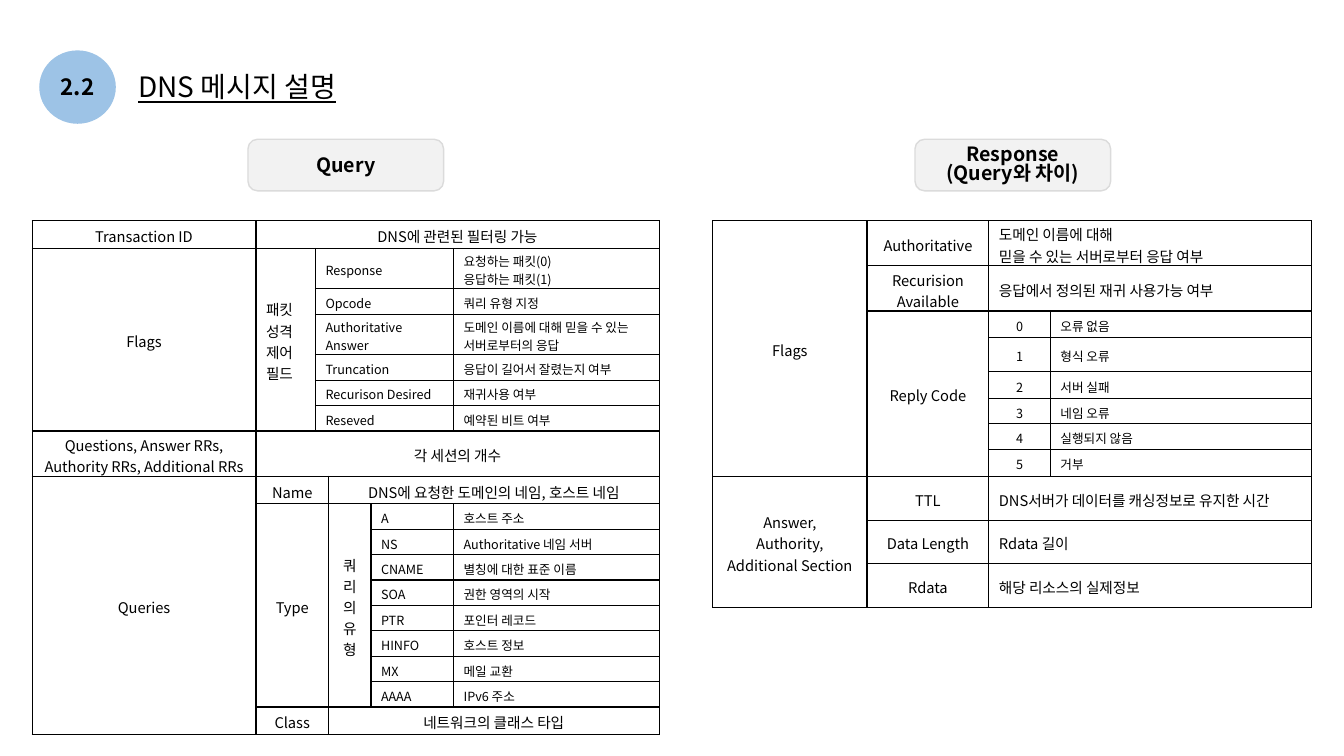
from lxml.etree import SubElement
from pptx import Presentation
from pptx.dml.color import RGBColor
from pptx.enum.shapes import MSO_SHAPE
from pptx.enum.text import MSO_ANCHOR, MSO_AUTO_SIZE, PP_ALIGN
from pptx.oxml.ns import qn
from pptx.util import Cm, Pt

FONT = "Noto Sans CJK KR"
BLACK = RGBColor(0x00, 0x00, 0x00)
BLUE = RGBColor(0x9D, 0xC3, 0xE6)
GREY = RGBColor(0xF2, 0xF2, 0xF2)
GREY_LINE = RGBColor(0xDB, 0xDB, 0xDB)
LEFT, CENTER = PP_ALIGN.LEFT, PP_ALIGN.CENTER
BODY, SMALL = 10.5, 9

QUERY_COLUMNS = [5.64, 1.5, 0.33, 1.07, 2.08, 5.18]
QUERY_ROWS = [0.7, 1.02, 0.64, 1.02] + [0.64] * 3 + [1.14, 0.7] + [0.64] * 8 + [0.7]
RESPONSE_COLUMNS = [3.89, 3.07, 1.55, 6.58]
RESPONSE_ROWS = [1.14, 1.14, 0.66, 0.87, 0.67, 0.64, 0.64, 0.69, 1.1, 1.1, 1.1]

FLAG_FIELDS = [
    ("Response", "요청하는 패킷(0)\n응답하는 패킷(1)"),
    ("Opcode", "쿼리 유형 지정"),
    ("Authoritative Answer", "도메인 이름에 대해 믿을 수 있는 서버로부터의 응답"),
    ("Truncation", "응답이 길어서 잘렸는지 여부"),
    ("Recurison Desired", "재귀사용 여부"),
    ("Reseved", "예약된 비트 여부"),
]
QUERY_TYPES = [
    ("A", "호스트 주소"),
    ("NS", "Authoritative 네임 서버"),
    ("CNAME", "별칭에 대한 표준 이름"),
    ("SOA", "권한 영역의 시작"),
    ("PTR", "포인터 레코드"),
    ("HINFO", "호스트 정보"),
    ("MX", "메일 교환"),
    ("AAAA", "IPv6 주소"),
]
REPLY_CODES = ["오류 없음", "형식 오류", "서버 실패", "네임 오류", "실행되지 않음", "거부"]
RESPONSE_FLAGS = [
    ("Authoritative", "도메인 이름에 대해\n믿을 수 있는 서버로부터 응답 여부"),
    ("Recurision Available", "응답에서 정의된 재귀 사용가능 여부"),
]
ANSWER_FIELDS = [
    ("TTL", "DNS서버가 데이터를 캐싱정보로 유지한 시간"),
    ("Data Length", "Rdata 길이"),
    ("Rdata", "해당 리소스의 실제정보"),
]


def write_text(frame, text, size, align=LEFT, bold=False, underline=False, spacing=None):
    """Fill a text frame, one paragraph per line of text."""
    frame.text = text
    for para in frame.paragraphs:
        para.alignment = align
        para.line_spacing = spacing
        para.font.name = FONT
        para.font.size = Pt(size)
        para.font.bold = bold
        para.font.underline = underline
        para.font.color.rgb = BLACK
        defaults = para._p.pPr.find(qn("a:defRPr"))
        SubElement(defaults, qn("a:ea"), typeface=FONT)


def add_title(page, text):
    """Add the underlined slide title."""
    box = page.shapes.add_textbox(Cm(3.23), Cm(1.63), Cm(6.02), Cm(1.12))
    box.text_frame.word_wrap = False
    box.text_frame.auto_size = MSO_AUTO_SIZE.SHAPE_TO_FIT_TEXT
    write_text(box.text_frame, text, 20, underline=True)


def add_label(page, kind, place, text, size, fill, line=None, spacing=None):
    """Add a filled shape with bold centred text."""
    shape = page.shapes.add_shape(kind, *[Cm(length) for length in place])
    shape.shadow.inherit = False
    shape.fill.solid()
    shape.fill.fore_color.rgb = fill
    if line is None:
        shape.line.fill.background()
    else:
        shape.line.color.rgb = line
        shape.line.width = Pt(1)
        shape.adjustments[0] = 0.185
    shape.text_frame.vertical_anchor = MSO_ANCHOR.MIDDLE
    write_text(shape.text_frame, text, size, CENTER, bold=True, spacing=spacing)


def add_borders(cell):
    """Draw a thin black line on all four sides of a cell."""
    properties = cell._tc.get_or_add_tcPr()
    for side in ("a:lnL", "a:lnR", "a:lnT", "a:lnB"):
        line = SubElement(properties, qn(side), w=str(Pt(1)))
        fill = SubElement(line, qn("a:solidFill"))
        SubElement(fill, qn("a:srgbClr"), val=str(BLACK))


def add_grid(page, left, columns, rows):
    """Add an empty bordered table and return it."""
    frame = page.shapes.add_table(len(rows), len(columns), Cm(left), Cm(5.56),
                                  Cm(sum(columns)), Cm(sum(rows)))
    table = frame.table
    table.first_row = table.horz_banding = False
    for column, width in zip(table.columns, columns):
        column.width = Cm(width)
    for row, height in zip(table.rows, rows):
        row.height = Cm(height)
    for cell in table.iter_cells():
        add_borders(cell)
        cell.fill.background()
        cell.margin_top, cell.margin_bottom = Cm(0.08), Cm(0)
        cell.vertical_anchor = MSO_ANCHOR.MIDDLE
    return table


def put(table, row, column, text, span=(1, 1), size=BODY, align=CENTER, vertical=False):
    """Write a cell, merged over span rows and columns."""
    cell = table.cell(row, column)
    if span != (1, 1):
        cell.merge(table.cell(row + span[0] - 1, column + span[1] - 1))
    if vertical:
        cell._tc.get_or_add_tcPr().set("vert", "eaVert")
    write_text(cell.text_frame, text, size, align)


def add_query_table(page):
    """Add the table of query message fields."""
    table = add_grid(page, 0.81, QUERY_COLUMNS, QUERY_ROWS)
    put(table, 0, 0, "Transaction ID")
    put(table, 0, 1, "DNS에 관련된 필터링 가능", (1, 5))
    put(table, 1, 0, "Flags", (6, 1))
    put(table, 1, 1, "패킷 성격 제어필드", (6, 1), align=LEFT, vertical=True)
    for row, (name, meaning) in enumerate(FLAG_FIELDS, 1):
        put(table, row, 2, name, (1, 3), SMALL, LEFT)
        put(table, row, 5, meaning, size=SMALL, align=LEFT)
    put(table, 7, 0, "Questions, Answer RRs, Authority RRs, Additional RRs")
    put(table, 7, 1, "각 세션의 개수", (1, 5))
    put(table, 8, 0, "Queries", (10, 1))
    put(table, 8, 1, "Name", (1, 2))
    put(table, 8, 3, "DNS에 요청한 도메인의 네임, 호스트 네임", (1, 3))
    put(table, 9, 1, "Type", (8, 2))
    put(table, 9, 3, "쿼리의 유형", (8, 1), vertical=True)
    for row, (name, meaning) in enumerate(QUERY_TYPES, 9):
        put(table, row, 4, name, size=SMALL, align=LEFT)
        put(table, row, 5, meaning, size=SMALL, align=LEFT)
    put(table, 17, 1, "Class", (1, 2))
    put(table, 17, 3, "네트워크의 클래스 타입", (1, 3))


def add_response_table(page):
    """Add the table of fields that differ in a response."""
    table = add_grid(page, 17.96, RESPONSE_COLUMNS, RESPONSE_ROWS)
    put(table, 0, 0, "Flags", (8, 1))
    put(table, 2, 1, "Reply Code", (6, 1))
    put(table, 8, 0, "Answer,\nAuthority,\nAdditional Section", (3, 1))
    for start, fields in ((0, RESPONSE_FLAGS), (8, ANSWER_FIELDS)):
        for row, (name, meaning) in enumerate(fields, start):
            put(table, row, 1, name)
            put(table, row, 2, meaning, (1, 2), align=LEFT)
    for code, meaning in enumerate(REPLY_CODES):
        put(table, code + 2, 2, str(code), size=SMALL)
        put(table, code + 2, 3, meaning, size=SMALL, align=LEFT)


def main():
    """Build the slide and save the deck."""
    deck = Presentation()
    deck.slide_width, deck.slide_height = Cm(33.87), Cm(19.05)
    page = deck.slides.add_slide(deck.slide_layouts[6])
    add_title(page, "DNS 메시지 설명")
    add_label(page, MSO_SHAPE.OVAL, (0.99, 1.27, 1.93, 1.85), "2.2", 16, BLUE)
    for left, text, spacing in ((6.25, "Query", None),
                                (23.06, "Response\n(Query와 차이)", 0.83)):
        add_label(page, MSO_SHAPE.ROUNDED_RECTANGLE, (left, 3.51, 4.93, 1.3),
                  text, 14, GREY, GREY_LINE, spacing)
    add_query_table(page)
    add_response_table(page)
    deck.save("out.pptx")


if __name__ == "__main__":
    main()
